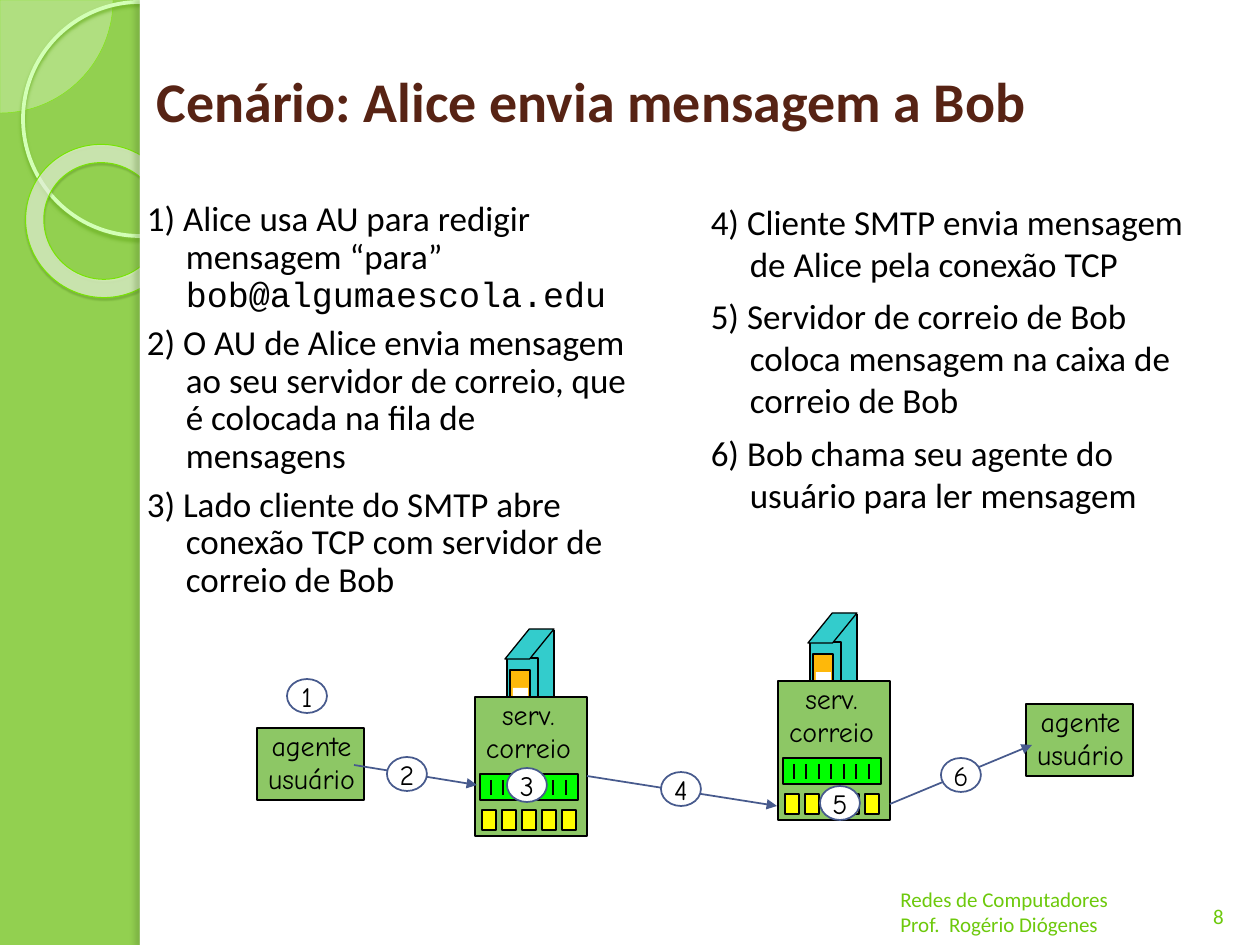
from lxml.etree import SubElement
from pptx import Presentation
from pptx.dml.color import RGBColor
from pptx.enum.shapes import MSO_CONNECTOR as CONN, MSO_SHAPE as SHAPE
from pptx.enum.text import MSO_ANCHOR as ANCHOR, MSO_AUTO_SIZE as AUTO, PP_ALIGN as ALIGN
from pptx.oxml.ns import qn
from pptx.util import Emu, Inches, Pt


def px(n):
    return Emu(round(n * 914400 / 126))


def rgb(value):
    return RGBColor.from_string(value)


class Deck:
    """Holds the style and the current slide, and draws each kind of element."""

    BODY, HAND, MONO = "Calibri", "Comic Neue", "Courier New"
    BLACK, WHITE, LIME, BLUE = "000000", "FFFFFF", "92D050", "475A8D"
    BROWN, FOOTER, BOX, TEAL = "572314", "6DC90C", "8DC765", "33CCCC"
    AMBER, GREEN, YELLOW = "FEB80A", "00FF00", "FFFF00"

    def __init__(self, prs):
        self.slide = prs.slides.add_slide(prs.slide_layouts[5])
        self.shapes = self.slide.shapes
        fill = self.slide.background.fill
        fill.solid()
        fill.fore_color.rgb = rgb(self.LIME)

    def group(self):
        self.shapes = self.slide.shapes.add_group_shape().shapes

    def ungroup(self):
        self.shapes = self.slide.shapes

    def shape(self, kind, x, y, w, h, fill=None, line=None, width=0.75, adj=(), alpha=None):
        sp = self.shapes.add_shape(kind, px(x), px(y), px(w), px(h))
        sp.shadow.inherit = False
        for i, value in enumerate(adj):
            sp.adjustments[i] = value
        if fill:
            sp.fill.solid()
            sp.fill.fore_color.rgb = rgb(fill)
        else:
            sp.fill.background()
        if alpha:
            color = sp._element.spPr.find(qn("a:solidFill"))[0]
            SubElement(color, qn("a:alpha"), val=str(alpha * 1000))
        if line:
            sp.line.color.rgb = rgb(line)
            sp.line.width = Pt(width)
        else:
            sp.line.fill.background()
        return sp

    def shadow(self, sp, color, alpha, blur, dist, angle):
        effects = sp._element.spPr.find(qn("a:effectLst"))
        outer = SubElement(effects, qn("a:outerShdw"), blurRad=str(Pt(blur)),
                           dist=str(Pt(dist)), dir=str(angle * 60000),
                           algn="tl", rotWithShape="0")
        clr = SubElement(outer, qn("a:srgbClr"), val=color)
        SubElement(clr, qn("a:alpha"), val=str(alpha * 1000))

    def line(self, x1, y1, x2, y2, color=BLACK, width=0.75, arrow=False):
        c = self.shapes.add_connector(CONN.STRAIGHT, px(x1), px(y1), px(x2), px(y2))
        c.line.color.rgb = rgb(color)
        c.line.width = Pt(width)
        if arrow:
            SubElement(c.line._get_or_add_ln(), qn("a:tailEnd"), type="triangle")
        SubElement(c._element.spPr, qn("a:effectLst"))

    def font(self, r, size, name, color, bold=False):
        f = r.font
        f.size, f.name, f.bold = Pt(size), name, bold
        f.color.rgb = rgb(color)

    def fill_text(self, tf, paragraphs, size, name, color, align=ALIGN.LEFT, bold=False):
        for i, text in enumerate(paragraphs):
            p = tf.add_paragraph() if i else tf.paragraphs[0]
            p.text = text
            p.alignment = align
            for r in p.runs:
                self.font(r, size, name, color, bold)

    def text(self, x, y, w, h, paragraphs, size, name, color,
             align=ALIGN.LEFT, anchor=ANCHOR.TOP, wrap=True):
        tf = self.shapes.add_textbox(px(x), px(y), px(w), px(h)).text_frame
        tf.word_wrap = wrap
        tf.vertical_anchor = anchor
        self.fill_text(tf, paragraphs, size, name, color, align)
        return tf

    def title(self, text):
        sp = self.slide.shapes.title
        sp.left, sp.top, sp.width, sp.height = px(144), px(21), px(1096), px(158)
        tf = sp.text_frame
        tf.auto_size = AUTO.NONE
        tf.vertical_anchor = ANCHOR.MIDDLE
        self.fill_text(tf, [text], 32, self.BODY, self.BROWN, bold=True)

    def steps(self, x, y, paragraphs, spacing=1.0):
        tf = self.text(x, y, 525, 444, paragraphs, 20, self.BODY, self.BLACK)
        for i, p in enumerate(tf.paragraphs):
            p.line_spacing = spacing
            p.space_before = Pt(6 if i else 0)
            pPr = p._p.get_or_add_pPr()
            pPr.set("marL", str(Inches(0.4)))
            pPr.set("indent", str(Inches(-0.31)))
        return tf

    def label(self, x, y, text):
        self.text(x, y, 119, 81, [text], 16, self.HAND, self.BLACK, ALIGN.CENTER, wrap=False)

    def marker(self, x, y, number):
        sp = self.shape(SHAPE.OVAL, x, y, 40, 34, self.WHITE, self.BLUE, 1)
        tf = sp.text_frame
        tf.word_wrap = False
        tf.vertical_anchor = ANCHOR.MIDDLE
        self.fill_text(tf, [str(number)], 16, self.HAND, self.BLACK, ALIGN.CENTER)

    def agent(self, x, y):
        self.group()
        self.shape(SHAPE.RECTANGLE, x, y, 107, 72, self.BOX, self.BLACK, 1.5)
        self.label(x - 5, y - 6, "agente\nusuário")
        self.ungroup()

    def server(self, x, y):
        box = SHAPE.RECTANGLE
        self.group()
        self.shape(box, x + 55, y - 68, 23, 98, self.TEAL)
        self.shape(box, x + 32, y - 39, 31, 98, self.TEAL, self.BLACK)
        self.shape(SHAPE.PARALLELOGRAM, x + 30, y - 68, 49, 30, self.TEAL, self.BLACK, adj=[0.81])
        self.line(x + 79, y - 67, x + 79, y + 30)
        self.shape(box, x + 35, y - 27, 20, 57, self.AMBER, self.BLACK)
        self.shape(box, x + 38, y - 9, 15, 20, self.WHITE)
        self.ungroup()
        self.group()
        self.shape(box, x, y, 112, 139, self.BOX, self.BLACK, 1.5)
        self.label(x - 6, y - 6, "serv.\ncorreio")
        self.shape(box, x + 5, y + 77, 98, 26, self.GREEN, self.BLACK, 1.5)
        for i in range(7):
            tick = x + 16 + 25 * i // 2
            self.line(tick, y + 83, tick, y + 98, width=1.5)
        for i in range(5):
            self.shape(box, x + 7 + 20 * i, y + 113, 14, 20, self.YELLOW, self.BLACK)
        self.ungroup()

    def backdrop(self):
        self.shape(SHAPE.PIE, -113, -113, 226, 226, "EEFFE4", "7FE90E", 0.25, [0, 54], 33)
        ring = self.shape(SHAPE.OVAL, 23, 2, 234, 234, line="D3FFB6", width=2.15)
        self.shadow(ring, "6DB224", 85, 2, 2, 90)
        donut = self.shape(SHAPE.DONUT, 25, 145, 155, 152, "FAFFF6", "77E403", 0.58, [0.12], 60)
        donut.rotation = 38.6
        self.shadow(donut, "366406", 35, 1, 1.2, 75)
        self.shape(SHAPE.RECTANGLE, 140, 0, 1120, 945, self.WHITE)
        edge = self.shape(SHAPE.RECTANGLE, 140, 0, 10, 945, self.WHITE)
        self.shadow(edge, "496A25", 25, 3, 3, 180)


def main():
    prs = Presentation()
    prs.slide_width, prs.slide_height = Inches(10), Inches(7.5)
    d = Deck(prs)
    d.backdrop()
    title = d.slide.shapes.title._element
    title.getparent().append(title)
    d.title("Cenário: Alice envia mensagem a Bob")
    d.text(1187, 869, 63, 66, ["8"], 12, d.BODY, d.FOOTER, ALIGN.CENTER, ANCHOR.BOTTOM)
    d.text(888, 877, 348, 66, ["Redes de Computadores", "Prof.  Rogério Diógenes"],
           12, d.BODY, d.FOOTER, anchor=ANCHOR.BOTTOM)
    tf = d.steps(123, 195, [
        "1) Alice usa AU para redigir mensagem “para” ",
        "2) O AU de Alice envia mensagem ao seu servidor de correio, que é colocada na fila de mensagens",
        "3) Lado cliente do SMTP abre conexão TCP com servidor de correio de Bob"], 0.9)
    r = tf.paragraphs[0].add_run()
    r.text = "bob@algumaescola.edu"
    d.font(r, 20, d.MONO, d.BLACK)
    d.steps(687, 194, [
        "4) Cliente SMTP envia mensagem de Alice pela conexão TCP",
        "5) Servidor de correio de Bob coloca mensagem na caixa de correio de Bob",
        "6) Bob chama seu agente do usuário para ler mensagem"])
    for x, y in [(257, 728), (1026, 704)]:
        d.agent(x, y)
    for x, y in [(475, 697), (778, 681)]:
        d.server(x, y)
    for ends in [(354, 765, 477, 785), (587, 776, 777, 806), (890, 804, 1032, 745)]:
        d.line(*ends, color=d.BLUE, width=1, arrow=True)
    spots = [(287, 679), (387, 757), (507, 768), (661, 772), (820, 786), (941, 758)]
    for number, (x, y) in enumerate(spots, 1):
        d.marker(x, y, number)
    prs.save("out.pptx")


if __name__ == "__main__":
    main()
